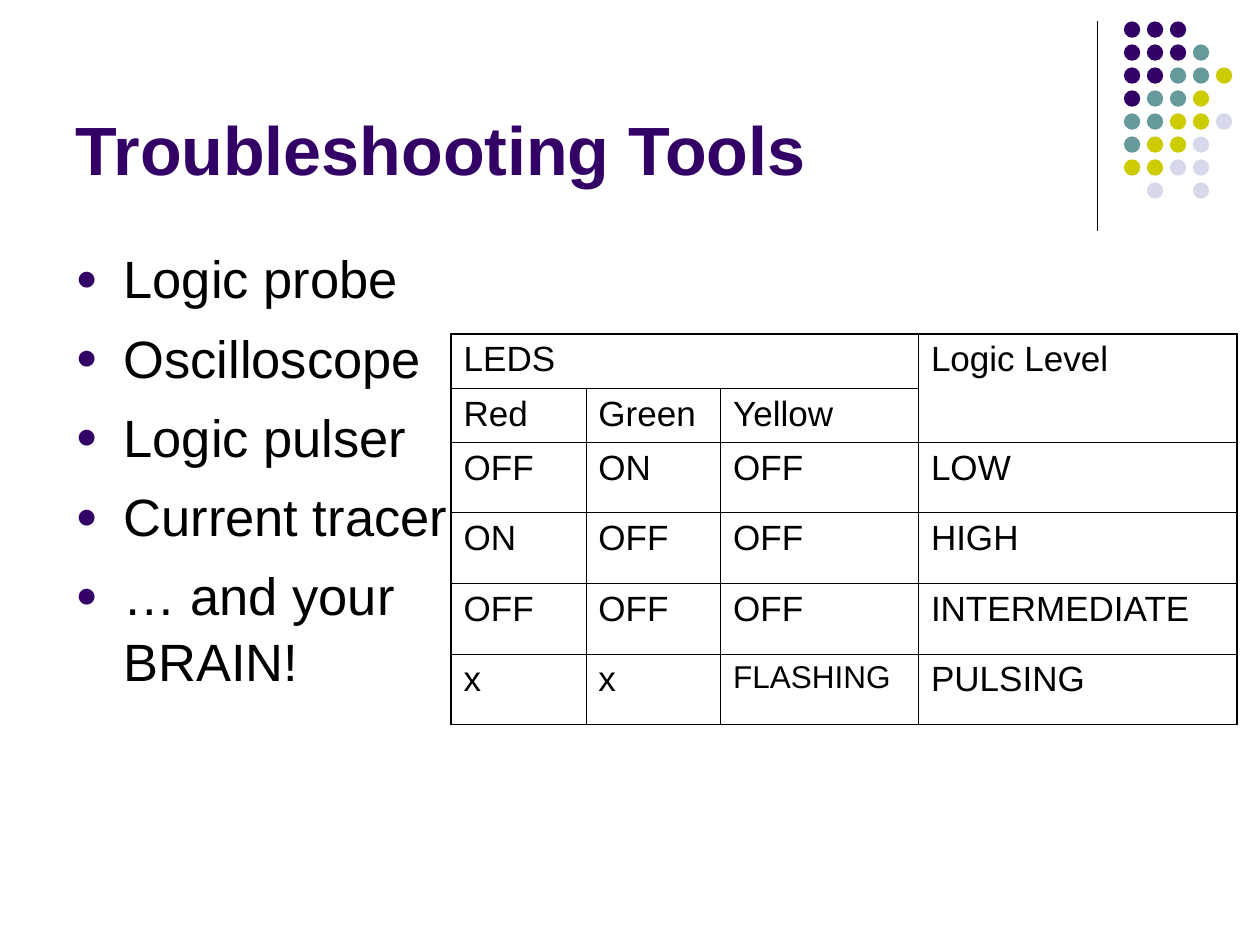
"""Build the Troubleshooting Tools slide."""
from lxml.etree import SubElement
from pptx import Presentation
from pptx.dml.color import RGBColor
from pptx.enum.shapes import MSO_CONNECTOR, MSO_SHAPE
from pptx.enum.text import MSO_ANCHOR, MSO_AUTO_SIZE, PP_ALIGN
from pptx.oxml.ns import qn
from pptx.util import Inches, Pt

PURPLE = RGBColor(0x33, 0x00, 0x66)
TEAL = RGBColor(0x66, 0x99, 0x99)
OLIVE = RGBColor(0xCC, 0xCC, 0x00)
LILAC = RGBColor(0xD8, 0xD8, 0xEC)
BLACK = RGBColor(0x00, 0x00, 0x00)

TITLE = "Troubleshooting Tools"
TOOLS = ["Logic probe", "Oscilloscope", "Logic pulser", "Current tracer",
         "… and your\vBRAIN!"]
LEVELS = [
    ["LEDS", "", "", "Logic Level"],
    ["Red", "Green", "Yellow", ""],
    ["OFF", "ON", "OFF", "LOW"],
    ["ON", "OFF", "OFF", "HIGH"],
    ["OFF", "OFF", "OFF", "INTERMEDIATE"],
    ["x", "x", "FLASHING", "PULSING"],
]
MERGES = [((0, 0), (0, 2)), ((0, 3), (1, 3))]
SMALL = {"FLASHING": 18}
WIDTHS = [1.07, 1.07, 1.57, 2.53]
HEIGHTS = [0.43] * 2 + [0.56] * 4
DOTS = ["PPP", "PPPT", "PPTTY", "PTTY", "TTYYL", "TYYL", "YYLL", "-L-L"]
HUES = {"P": PURPLE, "T": TEAL, "Y": OLIVE, "L": LILAC}
STEP = 0.73 / 4
DOT = 0.13


def box(*nums):
    return [Inches(num) for num in nums]


def write(frame, text, size=20, color=BLACK, bold=False, gap=0, line=None,
          bullet=None, anchor=MSO_ANCHOR.TOP):
    frame.word_wrap = True
    frame.vertical_anchor = anchor
    items = [text] if isinstance(text, str) else text
    for num, item in enumerate(items):
        para = frame.add_paragraph() if num else frame.paragraphs[0]
        para.text = item
        para.alignment = PP_ALIGN.LEFT
        para.space_before = Pt(gap if num else 0)
        if line:
            para.line_spacing = line
        if bullet:
            mark(para, bullet)
        for run in para.runs:
            font = run.font
            font.name, font.size, font.bold = "Arial", Pt(size), bold
            font.color.rgb = color


def mark(para, color):
    props = para._p.get_or_add_pPr()
    props.set("marL", str(Inches(0.38)))
    props.set("indent", str(-Inches(0.38)))
    hue = SubElement(props, qn("a:buClr"))
    SubElement(hue, qn("a:srgbClr"), val=str(color))
    SubElement(props, qn("a:buSzPct"), val="70000")
    SubElement(props, qn("a:buFont"), typeface="Arial")
    SubElement(props, qn("a:buChar"), char="●")


def edge(cell, outer):
    props = cell._tc.get_or_add_tcPr()
    for num, (side, out) in enumerate(outer.items()):
        line = SubElement(props, qn("a:ln" + side),
                          w=str(Pt(1.08 if out else 0.45)))
        fill = SubElement(line, qn("a:solidFill"))
        SubElement(fill, qn("a:srgbClr"), val=str(BLACK))
        props.insert(num, line)


def draw_dots(slide):
    rule = slide.shapes.add_connector(
        MSO_CONNECTOR.STRAIGHT, *box(8.71, 0.17, 8.71, 1.83))
    rule.line.color.rgb = BLACK
    rule.line.width = Pt(0.75)
    SubElement(rule._element.spPr, qn("a:effectLst"))
    group = slide.shapes.add_group_shape()
    for row, keys in enumerate(DOTS):
        for col, key in enumerate(keys):
            if key not in HUES:
                continue
            dot = group.shapes.add_shape(MSO_SHAPE.OVAL, *box(
                8.92 + col * STEP, 0.17 + row * STEP, DOT, DOT))
            dot.shadow.inherit = False
            dot.fill.solid()
            dot.fill.fore_color.rgb = HUES[key]
            dot.line.fill.background()


def draw_table(slide):
    rows, cols = len(HEIGHTS), len(WIDTHS)
    table = slide.shapes.add_table(
        rows, cols, *box(3.58, 2.65, sum(WIDTHS), sum(HEIGHTS))).table
    table.first_row = table.horz_banding = False
    for col, width in zip(table.columns, WIDTHS):
        col.width = Inches(width)
    for row, height in zip(table.rows, HEIGHTS):
        row.height = Inches(height)
    for start, end in MERGES:
        table.cell(*start).merge(table.cell(*end))
    for row, texts in enumerate(LEVELS):
        for col, text in enumerate(texts):
            cell = table.cell(row, col)
            cell.fill.background()
            edge(cell, {"L": col == 0, "R": col == cols - 1,
                        "T": row == 0, "B": row == rows - 1})
            if text:
                write(cell.text_frame, text, size=SMALL.get(text, 20))


def main():
    deck = Presentation()
    deck.slide_width, deck.slide_height = box(10, 7.5)
    slide = deck.slides.add_slide(deck.slide_layouts[1])
    title, body = slide.placeholders
    spots = [(title, (0.5, 0.13, 8.25, 1.42)), (body, (0.5, 1.88, 9, 4.82))]
    for shape, spot in spots:
        shape.left, shape.top, shape.width, shape.height = box(*spot)
        shape.text_frame.auto_size = MSO_AUTO_SIZE.NONE
    write(title.text_frame, TITLE, size=39, color=PURPLE, bold=True,
          anchor=MSO_ANCHOR.BOTTOM)
    write(body.text_frame, TOOLS, size=30, gap=7.5, line=1.05, bullet=PURPLE)
    draw_dots(slide)
    draw_table(slide)
    deck.save("out.pptx")


if __name__ == "__main__":
    main()
